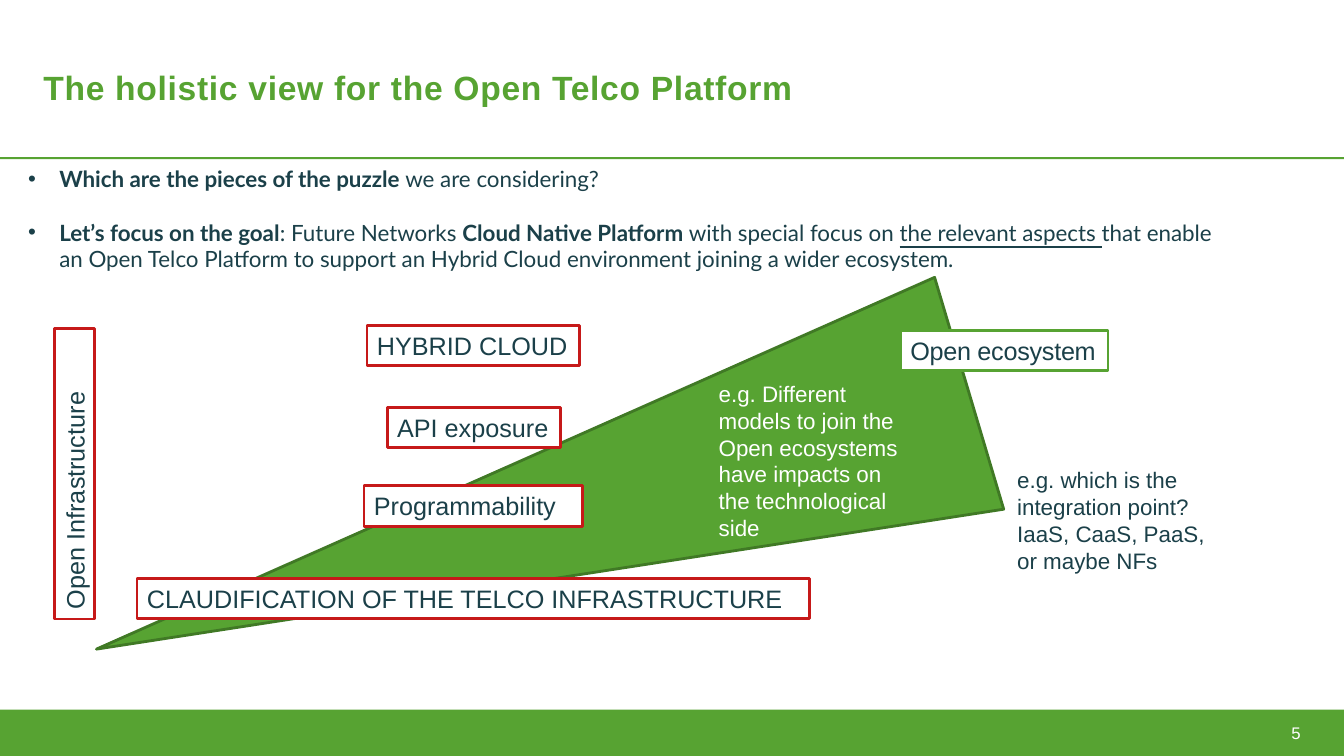
from lxml.etree import SubElement
from pptx import Presentation
from pptx.dml.color import RGBColor
from pptx.enum.shapes import MSO_SHAPE
from pptx.enum.text import MSO_ANCHOR, MSO_AUTO_SIZE, PP_ALIGN
from pptx.oxml.ns import qn
from pptx.util import Pt

PX = 9144
GREEN, DARK_GREEN, RED, INK, WHITE = "57A332", "407925", "C61919", "1B4049", "FFFFFF"


def add_block(kind, bounds, fill, outline=None):
    block = slide.shapes.add_shape(kind, *(n * PX for n in bounds))
    block.shadow.inherit = False
    block.fill.solid()
    block.fill.fore_color.rgb = RGBColor.from_string(fill)
    if outline:
        block.line.color.rgb = RGBColor.from_string(outline)
        block.line.width = Pt(2)
    else:
        block.line.fill.background()
    return block


def write(holder, runs, size, color, font="Arial", align=PP_ALIGN.LEFT,
          anchor=MSO_ANCHOR.TOP, wrap=True, spacing=0, paragraph=None):
    frame = holder.text_frame
    frame.word_wrap = wrap
    frame.auto_size = MSO_AUTO_SIZE.NONE
    frame.vertical_anchor = anchor
    paragraph = paragraph or frame.paragraphs[0]
    paragraph.alignment = align
    paragraph.font.size = Pt(size)
    paragraph.font.name = font
    paragraph.font.color.rgb = RGBColor.from_string(color)
    for text, style in runs:
        run = paragraph.add_run()
        run.text = text
        if "b" in style:
            run.font.bold = True
        if "u" in style:
            run.font.underline = True
        if spacing:
            run.font._element.set("spc", str(spacing))
    return paragraph


deck = Presentation()
deck.slide_width, deck.slide_height = 1333 * PX, 750 * PX
slide = deck.slides.add_slide(deck.slide_layouts[5])

add_block(MSO_SHAPE.RECTANGLE, (0, 704, 1333, 46), GREEN)
add_block(MSO_SHAPE.RECTANGLE, (0, 156, 1333, 2), GREEN)
growth_wedge = add_block(MSO_SHAPE.ISOSCELES_TRIANGLE, (409, 68, 240, 902), GREEN, DARK_GREEN)
growth_wedge.adjustments[0] = 0.517
growth_wedge.rotation = 253.4

title = slide.shapes.title
title.left, title.top, title.width, title.height = (n * PX for n in (33, 58, 966, 56))
write(title, [("The holistic view for the Open Telco Platform", "b")], 24, GREEN,
      anchor=MSO_ANCHOR.MIDDLE, spacing=50)

goals = [
    [("Which are the pieces of the puzzle ", "b"), ("we are considering?", "")],
    [("Let’s focus on the goal", "b"), (": Future Networks ", ""),
     ("Cloud Native Platform ", "b"), ("with special focus on ", ""),
     ("the relevant aspects ", "u"),
     ("that enable an Open Telco Platform to support an Hybrid Cloud environment "
      "joining a wider ecosystem.", "")],
]
introduction = slide.shapes.add_textbox(*(n * PX for n in (18, 159, 1217, 118)))
for index, goal in enumerate(goals):
    paragraph = introduction.text_frame.add_paragraph() if index else None
    bullet = write(introduction, goal, 16, INK, font="Lato", paragraph=paragraph)
    bullet.space_before = Pt(19 * index)
    properties = bullet._p.get_or_add_pPr()
    properties.set("marL", str(31 * PX))
    properties.set("indent", str(-31 * PX))
    SubElement(properties, qn("a:buFont")).set("typeface", "Arial")
    SubElement(properties, qn("a:buChar")).set("char", "•")

labels = [
    ("CLAUDIFICATION OF THE TELCO INFRASTRUCTURE", 136, 574, 667, RED, 0, 0),
    ("HYBRID CLOUD", 364, 323, 211, RED, 0, 0),
    ("Open Infrastructure", -70, 450, 288, RED, 270, 0),
    ("Programmability", 361, 482, 217, RED, 0, 0),
    ("API exposure", 384, 404, 172, RED, 0, 0),
    ("Open ecosystem", 893, 328, 206, GREEN, 0, -20),
]
for text, left, top, width, outline, rotation, spacing in labels:
    label = add_block(MSO_SHAPE.RECTANGLE, (left, top, width, 40), WHITE, outline)
    label.rotation = rotation
    write(label, [(text, "")], 18, INK, wrap=not spacing, spacing=spacing)

remarks = [
    ("e.g. Different models to join the Open ecosystems have impacts on the technological side",
     (703, 372, 217, 172), WHITE),
    ("e.g. which is the integration point? IaaS, CaaS, PaaS, or maybe NFs",
     (999, 458, 225, 118), INK),
]
for text, bounds, color in remarks:
    remark = slide.shapes.add_textbox(*(n * PX for n in bounds))
    write(remark, [(text, "")], 16, color)

page_number = slide.shapes.add_textbox(*(n * PX for n in (1000, 707, 300, 40)))
write(page_number, [("5", "")], 12, WHITE, align=PP_ALIGN.RIGHT, anchor=MSO_ANCHOR.MIDDLE)

deck.save("out.pptx")
